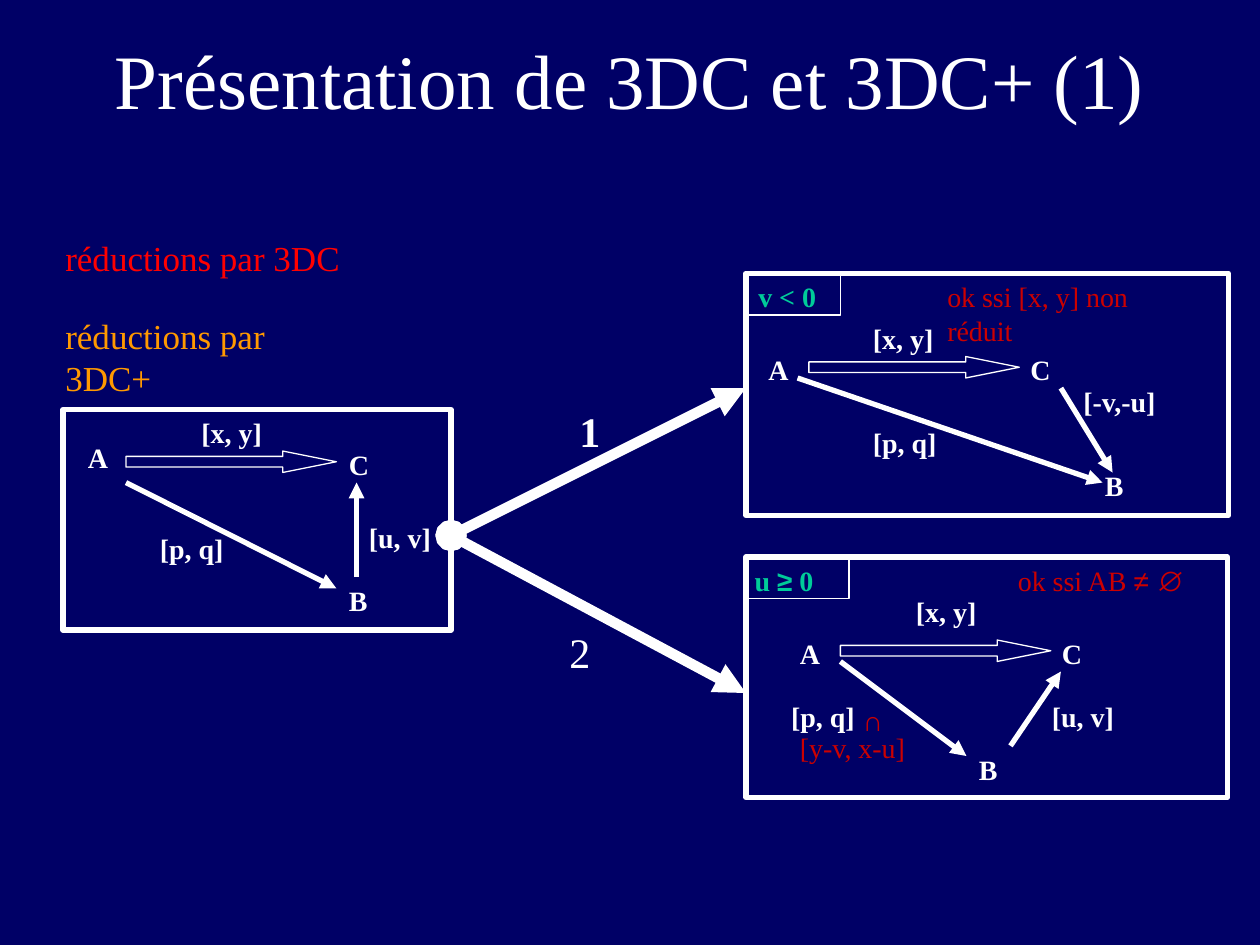
"""Build the slide comparing the 3DC and 3DC+ reductions of a triangle."""
from dataclasses import dataclass
from typing import Optional

from lxml.etree import SubElement
from pptx import Presentation
from pptx.dml.color import RGBColor
from pptx.enum.shapes import MSO_CONNECTOR as Conn, MSO_SHAPE as Shp
from pptx.enum.text import MSO_ANCHOR as Anchor, MSO_AUTO_SIZE as Auto, PP_ALIGN as Align
from pptx.oxml.ns import qn
from pptx.util import Inches, Pt

WHITE, RED, GREEN = "FFFFFF", "CC0000", "00CC99"
SERIF, SANS = "Times New Roman", "Arial"
SYMBOLS = set("≠∅≥∩ ")


@dataclass
class Label:
    """Text runs placed in a box, with their look."""
    runs: tuple
    box: tuple
    color: str = WHITE
    bold: bool = True
    size: int = 16
    wrap: bool = True


@dataclass
class Arrow:
    """A straight arrow between two points."""
    start: tuple
    end: tuple
    width: float = 3
    dot: bool = False


@dataclass
class Panel:
    """A framed triangle with its labels and arrows."""
    frame: tuple
    block: tuple
    labels: list
    arrows: list
    tag: Optional[tuple] = None


def rgb(value: str) -> RGBColor:
    """Turn a hex string into a colour."""
    return RGBColor.from_string(value)


def add_runs(p, runs: tuple, size: int, color: str, bold: bool = False) -> None:
    """Add runs to a paragraph, setting symbols in the sans font."""
    for text in runs:
        r = p.add_run()
        r.text = text
        fmt = {"name": SANS if set(text) <= SYMBOLS else SERIF, "size": Pt(size), "bold": bold}
        for key, value in fmt.items():
            setattr(r.font, key, value)
        r.font.color.rgb = rgb(color)


def add_box(shapes, box: tuple, wrap: bool):
    """Add an empty text box and return its text frame."""
    tf = shapes.add_textbox(*map(Inches, box)).text_frame
    tf.word_wrap = wrap
    return tf


def add_label(shapes, label: Label) -> None:
    """Draw a one-line label."""
    tf = add_box(shapes, label.box, label.wrap)
    add_runs(tf.paragraphs[0], label.runs, label.size, label.color, label.bold)


def add_outline(shapes, kind: Shp, box: tuple, width: float):
    """Draw an unfilled white outline."""
    sp = shapes.add_shape(kind, *map(Inches, box))
    sp.shadow.inherit = False
    sp.fill.background()
    sp.line.color.rgb = rgb(WHITE)
    sp.line.width = Pt(width)
    return sp


def add_arrow(shapes, arrow: Arrow) -> None:
    """Draw an arrow, with a round start when asked."""
    cx = shapes.add_connector(Conn.STRAIGHT, *map(Inches, arrow.start + arrow.end))
    cx.line.color.rgb = rgb(WHITE)
    cx.line.width = Pt(arrow.width)
    ln = cx.line._get_or_add_ln()
    if arrow.dot:
        SubElement(ln, qn("a:headEnd"), type="oval")
    SubElement(ln, qn("a:tailEnd"), type="triangle")
    SubElement(cx._element.spPr, qn("a:effectLst"))


def add_panel(s, panel: Panel) -> None:
    """Draw a panel as one group."""
    shapes = s.shapes.add_group_shape().shapes
    add_outline(shapes, Shp.RECTANGLE, panel.frame, 3)
    if panel.tag:
        add_outline(shapes, Shp.RECTANGLE, panel.frame[:2] + panel.tag, 1)
    block = add_outline(shapes, Shp.RIGHT_ARROW, panel.block + (1.67, 0.17), 0.75)
    block.adjustments[1] = 2.5
    for arrow in panel.arrows:
        add_arrow(shapes, arrow)
    for label in panel.labels:
        add_label(shapes, label)


HUB = (3.58, 4.25)
PANELS = [
    Panel((0.5, 3.25, 3.08, 1.75), (1, 3.58), [
        Label(("A",), (0.6, 3.45, 0.5, 0.5)),
        Label(("B",), (2.67, 4.58, 0.5, 0.5)),
        Label(("C",), (2.67, 3.5, 0.5, 0.5)),
        Label(("[u, v]",), (2.83, 4.08, 1, 0.5)),
        Label(("[x, y]",), (1.5, 3.25, 0.9, 0.5)),
        Label(("[p, q]",), (1.17, 4.17, 0.9, 0.5)),
    ], [Arrow((2.83, 4.58), (2.83, 3.83)), Arrow((1, 3.83), (2.67, 4.67))]),
    Panel((5.92, 2.17, 3.83, 1.92), (6.42, 2.83), [
        Label(("1",), (4.5, 3.17, 0.36, 0.5), size=24, wrap=False),
        Label(("A",), (6, 2.75, 0.5, 0.5)),
        Label(("B",), (8.67, 3.67, 0.5, 0.5)),
        Label(("C",), (8.08, 2.75, 0.5, 0.33)),
        Label(("[x, y]",), (6.83, 2.5, 0.9, 0.5)),
        Label(("[p, q]",), (6.83, 3.33, 0.9, 0.5)),
        Label(("[-v,-u]",), (8.5, 3, 1.17, 0.5)),
        Label(("v < 0",), (5.92, 2.17, 0.66, 0.37), GREEN, wrap=False),
    ], [Arrow(HUB, (5.92, 3.08), 6, True), Arrow((8.42, 3.08), (8.83, 3.75)),
        Arrow((6.33, 3), (8.75, 3.83))], (0.75, 0.33)),
    Panel((5.92, 4.42, 3.82, 1.91), (6.67, 5.08), [
        Label(("2",), (4.42, 4.92, 0.36, 0.5), bold=False, size=24, wrap=False),
        Label(("A",), (6.25, 5, 0.55, 0.5)),
        Label(("B",), (7.67, 5.92, 0.55, 0.5)),
        Label(("C",), (8.33, 5, 0.55, 0.5)),
        Label(("[u, v]",), (8.25, 5.5, 0.75, 0.5)),
        Label(("[x, y]",), (7.17, 4.67, 0.98, 0.5)),
        Label(("[p, q]",), (6.18, 5.5, 0.82, 0.33)),
        Label(("u ", "≥", " 0"), (5.89, 4.42, 0.72, 0.37), GREEN, wrap=False),
    ], [Arrow(HUB, (5.92, 5.5), 6, True), Arrow((8.02, 5.92), (8.42, 5.33)),
        Arrow((6.67, 5.25), (7.67, 6))], (0.82, 0.33)),
]
CONDITIONS = [
    Label(("ok ssi AB ", "≠ ∅"), (7.98, 4.42, 1.59, 0.37), RED, False, wrap=False),
    Label(("ok ssi [x, y] non réduit",), (7.42, 2.17, 2.2, 0.37), RED, False, wrap=False),
]


def add_title(s, text: str) -> None:
    """Place and fill the title placeholder."""
    title = s.shapes.title
    place = {"left": 0.75, "top": 0, "width": 8.5, "height": 1.25}
    for key, value in place.items():
        setattr(title, key, Inches(value))
    tf = title.text_frame
    for key, value in {"vertical_anchor": Anchor.MIDDLE, "auto_size": Auto.NONE}.items():
        setattr(tf, key, value)
    p = tf.paragraphs[0]
    p.alignment = Align.CENTER
    add_runs(p, (text,), 44, WHITE)


def add_legend(s) -> None:
    """Name the two kinds of reduction."""
    tf = add_box(s.shapes, (0.42, 1.83, 2.53, 1.04), False)
    add_runs(tf.paragraphs[0], ("réductions par 3DC",), 20, "FF0000")
    p = tf.add_paragraph()
    p.space_before = Pt(20.4)
    add_runs(p, ("réductions par 3DC+",), 20, "FF9900")


def add_intersection(s) -> None:
    """Write the interval that narrows [p, q]."""
    tf = add_box(s.shapes, (6.25, 5.59, 1.28, 0.5), True)
    first, second = tf.paragraphs[0], tf.add_paragraph()
    first._p.get_or_add_pPr().set("marL", str(Inches(0.5)))
    for p, text in ((first, "∩"), (second, "[y-v, x-u]")):
        p.line_spacing = 0.8
        add_runs(p, (text,), 16, RED)


def main() -> None:
    """Build and save the slide."""
    prs = Presentation()
    prs.slide_width, prs.slide_height = Inches(10), Inches(7.5)
    s = prs.slides.add_slide(prs.slide_layouts[5])
    s.background.fill.solid()
    s.background.fill.fore_color.rgb = rgb("000066")
    add_title(s, "Présentation de 3DC et 3DC+ (1)")
    for label in CONDITIONS:
        add_label(s.shapes, label)
    add_intersection(s)
    for panel in PANELS:
        add_panel(s, panel)
    add_legend(s)
    prs.save("out.pptx")


if __name__ == "__main__":
    main()
